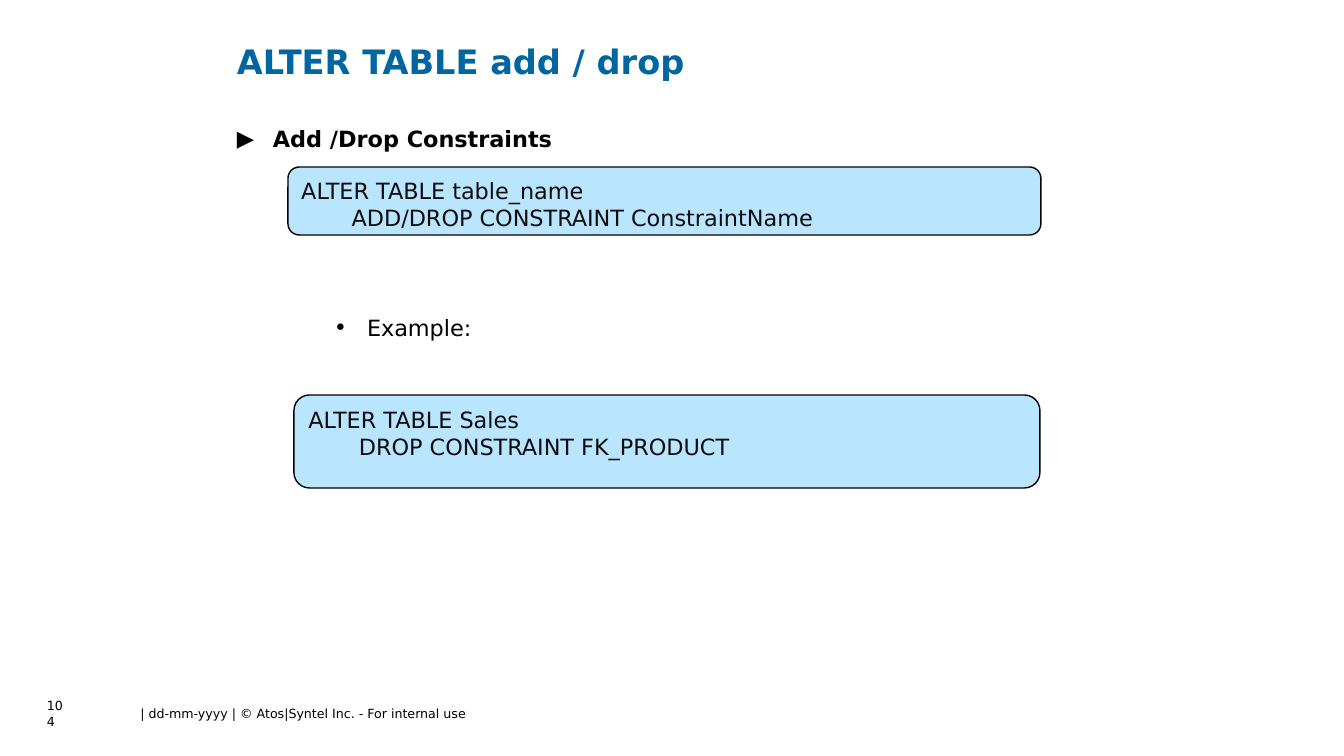
from dataclasses import dataclass

from lxml import etree
from pptx import Presentation
from pptx.dml.color import RGBColor
from pptx.enum.shapes import MSO_SHAPE
from pptx.enum.text import MSO_ANCHOR, MSO_AUTO_SIZE, PP_ALIGN
from pptx.oxml.ns import qn
from pptx.util import Pt

EMU_PER_PX = 914400 / 100.8
LEFT, CENTER = PP_ALIGN.LEFT, PP_ALIGN.CENTER
TOP, MIDDLE = MSO_ANCHOR.TOP, MSO_ANCHOR.MIDDLE
ROUNDED = MSO_SHAPE.ROUNDED_RECTANGLE
NO_AUTOFIT = MSO_AUTO_SIZE.NONE


@dataclass(frozen=True)
class Theme:
    """Colours and type sizes of the slide."""
    font: str = "DejaVu Sans"
    heading: RGBColor = RGBColor(0x00, 0x66, 0xA1)
    text: RGBColor = RGBColor(0x00, 0x00, 0x00)
    code: RGBColor = RGBColor(0x0D, 0x0D, 0x0D)
    panel: RGBColor = RGBColor(0xB9, 0xE5, 0xFF)
    title_size: int = 24
    body_size: int = 16
    footer_size: int = 9


THEME = Theme()


def px(length):
    """Convert slide pixels to EMU."""
    return round(length * EMU_PER_PX)


def style(paragraph, size, color, bold=False, align=LEFT):
    """Set the font and alignment of a paragraph."""
    paragraph.alignment = align
    font = paragraph.font
    font.name, font.size, font.bold = THEME.font, Pt(size), bold
    font.color.rgb = color


def set_frame(frame, insets, anchor=TOP, wrap=True):
    """Set the insets (left, top, right, bottom), anchor and wrapping of a frame."""
    frame.auto_size = NO_AUTOFIT
    frame.word_wrap = wrap
    frame.vertical_anchor = anchor
    (frame.margin_left, frame.margin_top,
     frame.margin_right, frame.margin_bottom) = map(px, insets)


def add_title(slide, text, box):
    """Place and format the slide title."""
    title = slide.shapes.title
    title.left, title.top, title.width, title.height = map(px, box)
    set_frame(title.text_frame, (10, 8, 10, 5))
    title.text_frame.text = text
    style(title.text_frame.paragraphs[0], THEME.title_size, THEME.heading, bold=True)


def add_bullet(paragraph, text, mark, margin, hanging, bold=False):
    """Fill a paragraph with a hanging bullet and its text."""
    paragraph.text = text
    properties = paragraph._p.get_or_add_pPr()
    properties.set("marL", str(px(margin)))
    properties.set("indent", str(-px(hanging)))
    etree.SubElement(properties, qn("a:buFont")).set("typeface", THEME.font)
    etree.SubElement(properties, qn("a:buChar")).set("char", mark)
    style(paragraph, THEME.body_size, THEME.text, bold)


def add_outline(slide, box):
    """Add the topic and its example label."""
    frame = slide.shapes.add_textbox(*map(px, box)).text_frame
    set_frame(frame, (10, 5, 10, 5))
    add_bullet(frame.paragraphs[0], "Add /Drop Constraints", "▶", 47, 36, bold=True)
    example = frame.add_paragraph()
    add_bullet(example, "Example:", "•", 141, 33)
    example.space_before = Pt(116)


def add_code_panel(slide, lines, box):
    """Add a rounded panel with lines of SQL."""
    panel = slide.shapes.add_shape(ROUNDED, *map(px, box))
    panel.shadow.inherit = False
    panel.fill.solid()
    panel.fill.fore_color.rgb = THEME.panel
    panel.line.color.rgb = THEME.text
    panel.line.width = Pt(1)
    set_frame(panel.text_frame, (10, 7, 10, 5))
    panel.text_frame.text = "\n".join(lines)
    for paragraph in panel.text_frame.paragraphs:
        style(paragraph, THEME.body_size, THEME.code)


def add_footer(slide, text, box, align=LEFT, wrap=False):
    """Add a small footer text."""
    frame = slide.shapes.add_textbox(*map(px, box)).text_frame
    set_frame(frame, (0, 0, 0, 0), MIDDLE, wrap)
    frame.text = text
    style(frame.paragraphs[0], THEME.footer_size, THEME.text, align=align)


def main():
    """Build and save the slide."""
    deck = Presentation()
    deck.slide_width, deck.slide_height = px(1344), px(756)
    slide = deck.slides.add_slide(deck.slide_layouts.get_by_name("Title Only"))
    add_footer(slide, "| dd-mm-yyyy | © Atos|Syntel Inc. - For internal use",
               (131, 706, 344, 15), CENTER)
    add_footer(slide, "104", (47, 706, 22, 15), wrap=True)
    add_title(slide, "ALTER TABLE add / drop", (227, 33, 907, 67))
    add_outline(slide, (216, 120, 907, 586))
    add_code_panel(slide, ("ALTER TABLE table_name",
                           "\tADD/DROP CONSTRAINT ConstraintName"),
                   (288, 167, 753, 68))
    add_code_panel(slide, ("ALTER TABLE Sales", "\tDROP CONSTRAINT FK_PRODUCT"),
                   (294, 395, 746, 93))
    deck.save("out.pptx")


if __name__ == "__main__":
    main()
